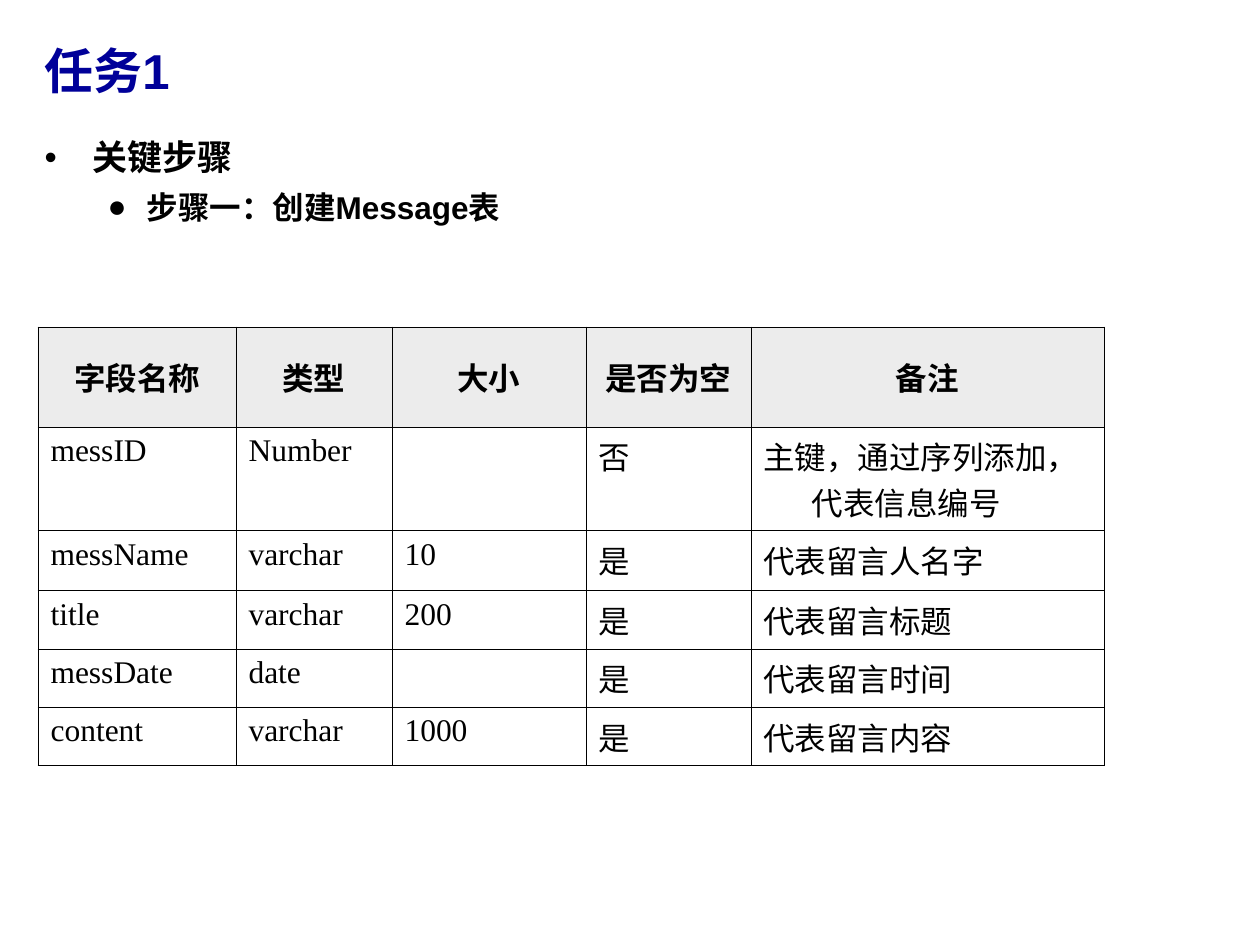
from typing import NamedTuple

from lxml import etree
from pptx import Presentation, util as u
from pptx.dml.color import RGBColor
from pptx.enum import text
from pptx.oxml import ns

NAVY = RGBColor(0x00, 0x00, 0x99)
BLACK = RGBColor(0x00, 0x00, 0x00)
GREY = RGBColor(0xE5, 0xE5, 0xE5)

PX_PER_INCH = 126
HANGING = 48
BORDER_PT = 0.45
HEADER_OPACITY = 70


class Step(NamedTuple):
    wording: str
    level: int
    size: int
    before: int
    bullet: str
    margin: int
    hanging: int


class Column(NamedTuple):
    heading: str
    width: int


STEPS = [
    Step("关键步骤", 0, 20, 10, "•", HANGING, HANGING),
    Step("步骤一：创建Message表", 1, 18, 9, "●", 102, 39),
]
COLUMNS = [
    Column("字段名称", 198),
    Column("类型", 156),
    Column("大小", 194),
    Column("是否为空", 165),
    Column("备注", 353),
]
FIELDS = [
    ("messID", "Number", "", "否", "主键，通过序列添加，代表信息编号"),
    ("messName", "varchar", "10", "是", "代表留言人名字"),
    ("title", "varchar", "200", "是", "代表留言标题"),
    ("messDate", "date", "", "是", "代表留言时间"),
    ("content", "varchar", "1000", "是", "代表留言内容"),
]
ROW_HEIGHTS = [100, 88, 60, 50, 52, 50]


def px(length: int) -> u.Emu:
    return u.Emu(round(length * 914400 / PX_PER_INCH))


def sub(parent, tag: str, **attributes: str):
    return etree.SubElement(parent, ns.qn(tag), attributes)


def write(paragraph, wording: str, *, size: int, font: str, color=BLACK,
          bold=False, align=text.PP_ALIGN.LEFT, margin=0, hanging=0) -> None:
    """Fill one paragraph with formatted text and a hanging indent."""
    paragraph.alignment = align
    properties = paragraph._p.get_or_add_pPr()
    properties.set("marL", str(px(margin)))
    properties.set("indent", str(-px(hanging)))
    if wording:
        run = paragraph.add_run()
        run.text = wording
        run.font.size = u.Pt(size)
        run.font.name = font
        run.font.bold = bold
        run.font.color.rgb = color


def place(holder, left: int, top: int, width: int, height: int, anchor):
    """Move a placeholder and return its text frame."""
    holder.left, holder.top = px(left), px(top)
    holder.width, holder.height = px(width), px(height)
    frame = holder.text_frame
    frame.auto_size = text.MSO_AUTO_SIZE.NONE
    frame.word_wrap = True
    frame.vertical_anchor = anchor
    return frame


def add_step(paragraph, step: Step) -> None:
    paragraph.level = step.level
    paragraph.space_before = u.Pt(step.before)
    paragraph.line_spacing = 0.85
    write(paragraph, step.wording, size=step.size, font="Arial", bold=True,
          margin=step.margin, hanging=step.hanging)
    properties = paragraph._p.get_or_add_pPr()
    sub(sub(properties, "a:buClr"), "a:srgbClr", val=str(BLACK))
    sub(properties, "a:buFont", typeface="Arial")
    sub(properties, "a:buChar", char=step.bullet)


def format_cell(cell, wording: str, is_header: bool) -> None:
    properties = cell._tc.get_or_add_tcPr()
    for side in ("a:lnL", "a:lnR", "a:lnT", "a:lnB"):
        line = sub(properties, side, w=str(u.Pt(BORDER_PT)))
        sub(sub(line, "a:solidFill"), "a:srgbClr", val=str(BLACK))
    if is_header:
        cell.fill.solid()
        cell.fill.fore_color.rgb = GREY
        tint = properties.find(ns.qn("a:solidFill")).find(ns.qn("a:srgbClr"))
        sub(tint, "a:alpha", val=str(HEADER_OPACITY * 1000))
        cell.vertical_anchor = text.MSO_ANCHOR.MIDDLE
        align = text.PP_ALIGN.CENTER
    else:
        cell.fill.background()
        cell.vertical_anchor = text.MSO_ANCHOR.TOP
        align = text.PP_ALIGN.LEFT
    write(cell.text_frame.paragraphs[0], wording, size=18,
          font="Times New Roman", bold=is_header, align=align,
          margin=HANGING, hanging=HANGING)


def add_field_table(slide, left: int, top: int) -> None:
    rows = [tuple(column.heading for column in COLUMNS), *FIELDS]
    width = sum(column.width for column in COLUMNS)
    table = slide.shapes.add_table(
        len(rows), len(COLUMNS), px(left), px(top), px(width),
        px(sum(ROW_HEIGHTS))).table
    table.first_row = table.horz_banding = False
    for index, column in enumerate(COLUMNS):
        table.columns[index].width = px(column.width)
    for r, (wordings, height) in enumerate(zip(rows, ROW_HEIGHTS)):
        table.rows[r].height = px(height)
        for c, wording in enumerate(wordings):
            format_cell(table.cell(r, c), wording, is_header=r == 0)


def main() -> None:
    deck = Presentation()
    deck.slide_width, deck.slide_height = px(1260), px(945)
    slide = deck.slides.add_slide(deck.slide_layouts[1])

    # Title
    heading = place(slide.shapes.title, 32, 28, 1134, 84,
                    text.MSO_ANCHOR.MIDDLE)
    write(heading.paragraphs[0], "任务1", size=28, font="Arial",
          color=NAVY, bold=True)

    # Key steps
    outline = place(slide.placeholders[1], 32, 136, 1055, 166,
                    text.MSO_ANCHOR.TOP)
    for index, step in enumerate(STEPS):
        add_step(outline.add_paragraph() if index else outline.paragraphs[0],
                 step)

    # Fields of the Message table
    add_field_table(slide, 38, 327)

    deck.save("out.pptx")


if __name__ == "__main__":
    main()
